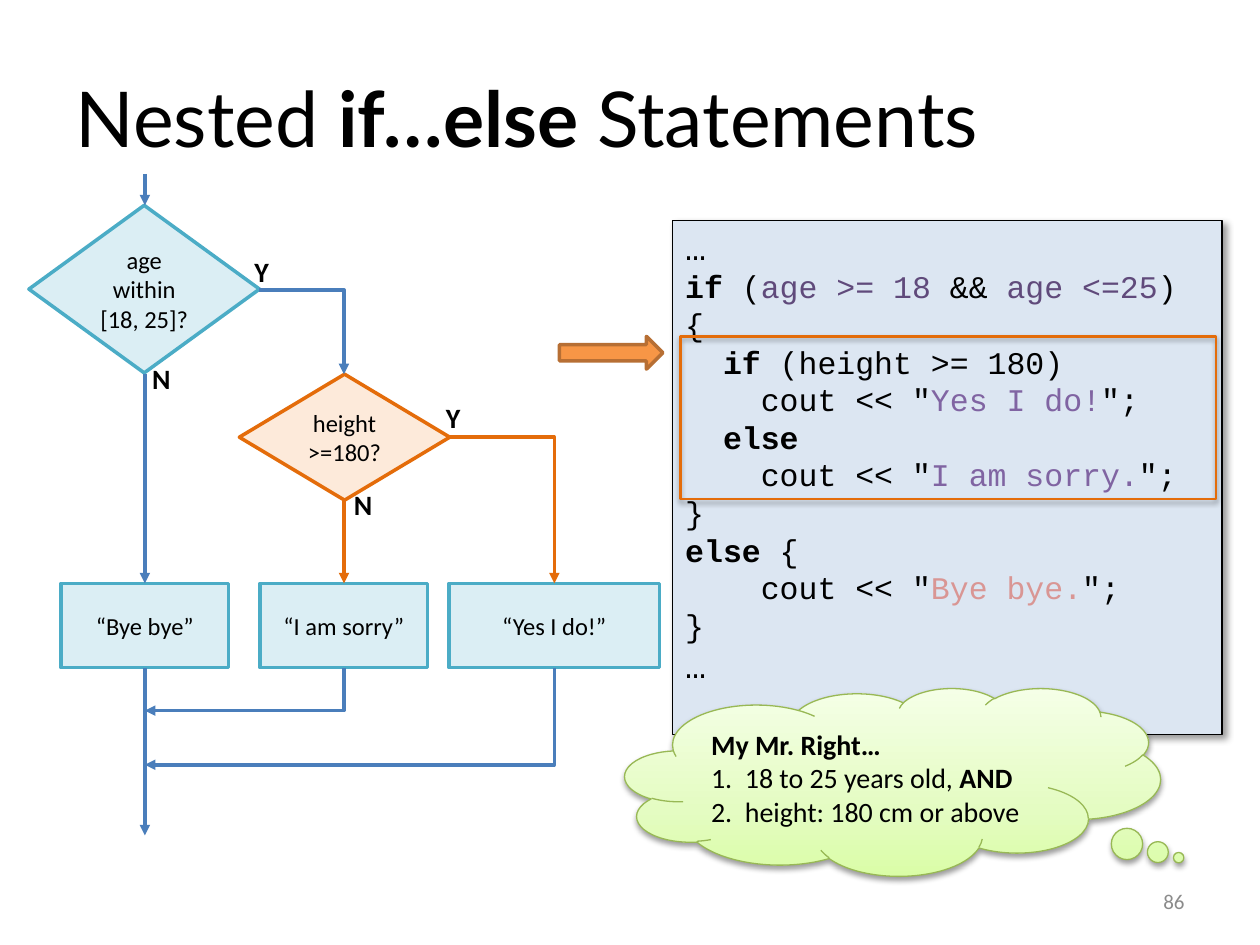
from typing import NamedTuple, Optional

from lxml.etree import SubElement
from pptx import Presentation
from pptx.dml.color import RGBColor
from pptx.enum.shapes import MSO_CONNECTOR as Link, MSO_SHAPE as Preset
from pptx.enum.text import MSO_ANCHOR as Anchor, PP_ALIGN as Align
from pptx.oxml import parse_xml
from pptx.oxml.ns import nsdecls, qn
from pptx.util import Inches, Pt

BLACK = RGBColor(0, 0, 0)
GRAY = RGBColor(0x8B, 0x8B, 0x8B)
BLUE = RGBColor(0x4A, 0x7E, 0xBB)
TEAL = RGBColor(0x4B, 0xAC, 0xC6)
PALE_TEAL = RGBColor(0xDB, 0xEE, 0xF4)
ORANGE = RGBColor(0xE4, 0x6C, 0x0A)
PALE_ORANGE = RGBColor(0xFD, 0xEA, 0xDA)
ARROW_FILL = RGBColor(0xF7, 0x96, 0x46)
ARROW_LINE = RGBColor(0xB7, 0x6F, 0x34)
CODE_FILL = RGBColor(0xDC, 0xE6, 0xF2)
CONDITION = RGBColor(0x60, 0x4A, 0x7B)
ANSWER = RGBColor(0x80, 0x64, 0xA2)
GOODBYE = RGBColor(0xD9, 0x96, 0x94)
GREEN = RGBColor(0x98, 0xB8, 0x55)
CLOUD_STOPS = ((0, "DAFDA7"), (35, "E4FCC2"), (100, "F5FFE7"))


class Box(NamedTuple):
    left: float
    top: float
    width: float
    height: float


class Span(NamedTuple):
    text: str
    bold: bool = False
    color: Optional[RGBColor] = None


class Shadow(NamedTuple):
    alpha: int
    blur: float
    distance: float
    angle: int


class Node(NamedTuple):
    preset: int
    box: Box
    text: str
    fill: RGBColor = PALE_TEAL
    line: RGBColor = TEAL


class Flow(NamedTuple):
    start: tuple[float, float]
    end: tuple[float, float]
    color: RGBColor = BLUE
    down_first: bool = False


class Branch(NamedTuple):
    text: str
    left: float
    top: float


COLUMNS = (1.15, 2.73, 4.4)
BOX_TOP, BOX_BOTTOM = 4.63, 5.3

NODES = (
    Node(Preset.FLOWCHART_DECISION, Box(0.23, 1.63, 1.83, 1.33), "age within [18, 25]?"),
    Node(Preset.FLOWCHART_DECISION, Box(1.9, 2.97, 1.67, 1), "height >=180?", PALE_ORANGE, ORANGE),
) + tuple(
    Node(Preset.RECTANGLE, Box(center - width / 2, BOX_TOP, width, BOX_BOTTOM - BOX_TOP), text)
    for center, width, text in zip(
        COLUMNS, (1.33, 1.33, 1.67), ("“Bye bye”", "“I am sorry”", "“Yes I do!”"))
)
FLOWS = (
    Flow((COLUMNS[0], 1.38), (COLUMNS[0], 1.63)),
    Flow((COLUMNS[0], 2.97), (COLUMNS[0], BOX_TOP)),
    Flow((COLUMNS[1], 3.97), (COLUMNS[1], BOX_TOP), ORANGE),
    Flow((COLUMNS[0], BOX_BOTTOM), (COLUMNS[0], 6.63)),
    Flow((2.06, 2.3), (COLUMNS[1], 2.97)),
    Flow((3.56, 3.47), (COLUMNS[2], BOX_TOP), ORANGE),
    Flow((COLUMNS[1], BOX_BOTTOM), (COLUMNS[0], 5.64), down_first=True),
    Flow((COLUMNS[2], BOX_BOTTOM), (COLUMNS[0], 6.07), down_first=True),
)
BRANCHES = (Branch("Y", 1.92, 1.97), Branch("N", 1.11, 2.82),
            Branch("Y", 3.44, 3.13), Branch("N", 2.71, 3.82))

CODE = (
    (Span("…"),),
    (Span("if", True), Span(" ("), Span("age >= 18 ", color=CONDITION), Span("&& "),
     Span("age <=25", color=CONDITION), Span(") {")),
    (Span("  "), Span("if", True), Span(" (height >= 180)")),
    (Span('    cout << "'), Span("Yes I do!", color=ANSWER), Span('";')),
    (Span("  "), Span("else", True)),
    (Span('    cout << "'), Span("I am sorry.", color=ANSWER), Span('";')),
    (Span("}"),),
    (Span("else ", True), Span("{")),
    (Span('    cout << "'), Span("Bye bye.", color=GOODBYE), Span('";')),
    (Span("}"),),
    (Span("…"),),
)
WISHES = (
    (Span("My Mr. Right…", True),),
    (Span("1.  18 to 25 years old, "), Span("AND", True)),
    (Span("2.  height: 180 cm or above"),),
)


def write(shape, lines, size: float, font: str = "Calibri", color: RGBColor = BLACK,
          align=Align.LEFT, anchor=Anchor.MIDDLE, wrap: bool = True) -> None:
    frame = shape.text_frame
    frame.word_wrap, frame.vertical_anchor = wrap, anchor
    for number, spans in enumerate(lines):
        paragraph = frame.add_paragraph() if number else frame.paragraphs[0]
        paragraph.alignment = align
        paragraph.font.name, paragraph.font.size = font, Pt(size)
        paragraph.font.color.rgb = color
        for span in spans:
            run = paragraph.add_run()
            run.text, run.font.bold = span.text, span.bold
            if span.color is not None:
                run.font.color.rgb = span.color


def add_text(slide, box: Box, lines, size: float, **style) -> None:
    write(slide.shapes.add_textbox(*map(Inches, box)), lines, size, **style)


def add_preset(slide, preset, box: Box, fill: Optional[RGBColor], line: RGBColor,
               weight: float = 2, shadow: Optional[Shadow] = None):
    shape = slide.shapes.add_shape(preset, *map(Inches, box))
    shape.shadow.inherit = False
    if fill is None:
        shape.fill.background()
    else:
        shape.fill.solid()
        shape.fill.fore_color.rgb = fill
    shape.line.color.rgb, shape.line.width = line, Pt(weight)
    if shadow:
        effects = shape._element.spPr.find(qn("a:effectLst"))
        outer = SubElement(effects, qn("a:outerShdw"), blurRad=str(Pt(shadow.blur)),
                           dist=str(Pt(shadow.distance)), dir=str(shadow.angle * 60000),
                           rotWithShape="0")
        tint = SubElement(outer, qn("a:srgbClr"), val=str(BLACK))
        SubElement(tint, qn("a:alpha"), val=str(shadow.alpha * 1000))
    return shape


def add_flow(slide, flow: Flow) -> None:
    """Draw a straight arrow, or one with a single corner if both ends differ in x."""
    (x1, y1), (x2, y2) = flow.start, flow.end
    bent = x1 != x2
    if flow.down_first:
        # A quarter turn about the middle makes the first leg run downwards.
        mid_x, mid_y = (x1 + x2) / 2, (y1 + y2) / 2
        half_w, half_h = abs(y2 - y1) / 2, abs(x2 - x1) / 2
        x1, x2, y1, y2 = mid_x - half_w, mid_x + half_w, mid_y - half_h, mid_y + half_h
    connector = slide.shapes.add_connector(
        Link.ELBOW if bent else Link.STRAIGHT, *map(Inches, (x1, y1, x2, y2)))
    connector.line.color.rgb, connector.line.width = flow.color, Pt(2)
    properties = connector._element.spPr
    if bent:
        properties.find(qn("a:prstGeom")).set("prst", "bentConnector2")
    if flow.down_first:
        properties.find(qn("a:xfrm")).set("rot", str(90 * 60000))
    SubElement(properties.find(qn("a:ln")), qn("a:tailEnd"), type="triangle")
    SubElement(properties, qn("a:effectLst"))


def add_code(slide) -> None:
    panel = add_preset(slide, Preset.RECTANGLE, Box(5.34, 1.75, 4.36, 4.08), CODE_FILL,
                       BLACK, 0.75, Shadow(40, 4, 3, 45))
    write(panel, CODE, 18, font="Courier New", anchor=Anchor.TOP)
    panel.text_frame.margin_top = Inches(0.04)
    paragraphs = panel.text_frame.paragraphs
    for paragraph in paragraphs:
        paragraph.line_spacing = Pt(21.5)
    for ellipsis in (paragraphs[0], paragraphs[-1]):
        ellipsis.font.size, ellipsis.line_spacing = Pt(20), Pt(24)


def add_cloud(slide) -> None:
    cloud = add_preset(slide, Preset.CLOUD_CALLOUT, Box(4.96, 5.46, 4.25, 1.49), None,
                       GREEN, 0.75, Shadow(38, 3.1, 1.6, 90))
    cloud.adjustments[0], cloud.adjustments[1] = 0.534, 0.404
    stops = "".join(f'<a:gs pos="{position * 1000}"><a:srgbClr val="{color}"/></a:gs>'
                    for position, color in CLOUD_STOPS)
    gradient = parse_xml(f'<a:gradFill {nsdecls("a")} rotWithShape="1"><a:gsLst>{stops}'
                         '</a:gsLst><a:lin ang="16200000" scaled="0"/></a:gradFill>')
    properties = cloud._element.spPr
    properties.replace(properties.find(qn("a:noFill")), gradient)
    write(cloud, WISHES, 16)


def main() -> None:
    deck = Presentation()
    deck.slide_width, deck.slide_height = Inches(10), Inches(7.5)
    slide = deck.slides.add_slide(deck.slide_layouts[6])

    add_code(slide)
    heading = (Span("Nested "), Span("if…else ", True), Span("Statements"))
    add_text(slide, Box(0.5, 0.3, 9, 1.25), [heading], 44, font="Lato")
    for node in NODES:
        shape = add_preset(slide, node.preset, node.box, node.fill, node.line)
        write(shape, [[Span(node.text)]], 14, align=Align.CENTER)
    for flow in FLOWS:
        add_flow(slide, flow)
    for branch in BRANCHES:
        add_text(slide, Box(branch.left, branch.top, 0.37, 0.36),
                 [[Span(branch.text, True)]], 16, anchor=Anchor.TOP, wrap=False)
    add_cloud(slide)
    add_text(slide, Box(7.17, 6.95, 2.33, 0.4), [[Span("86")]], 12, color=GRAY,
             align=Align.RIGHT)
    add_preset(slide, Preset.RIGHT_ARROW, Box(4.44, 2.67, 0.82, 0.26), ARROW_FILL, ARROW_LINE)
    add_preset(slide, Preset.RECTANGLE, Box(5.4, 2.67, 4.25, 1.29), None, ORANGE, 1.5,
               Shadow(35, 3.1, 1.8, 90))
    deck.save("out.pptx")


if __name__ == "__main__":
    main()
